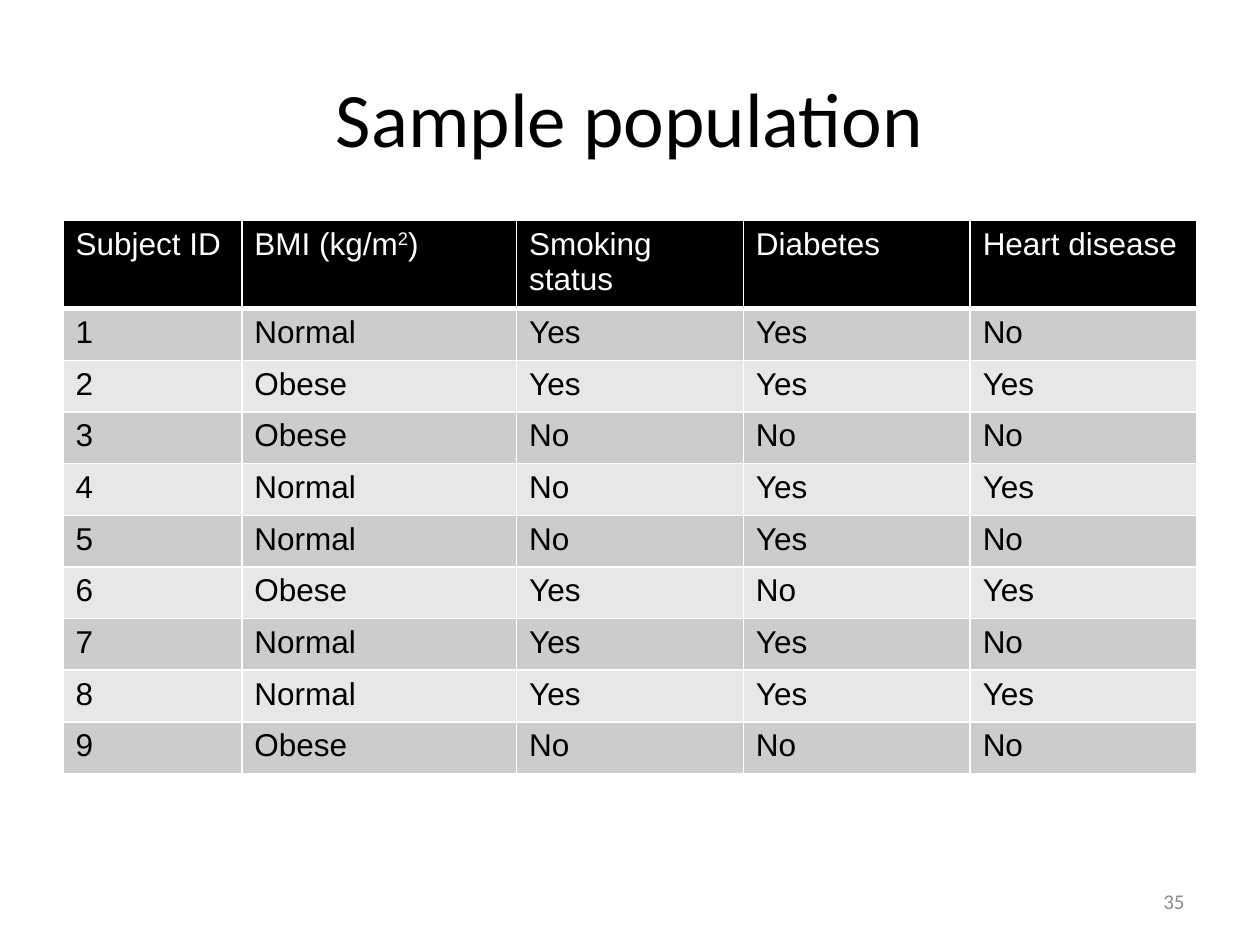
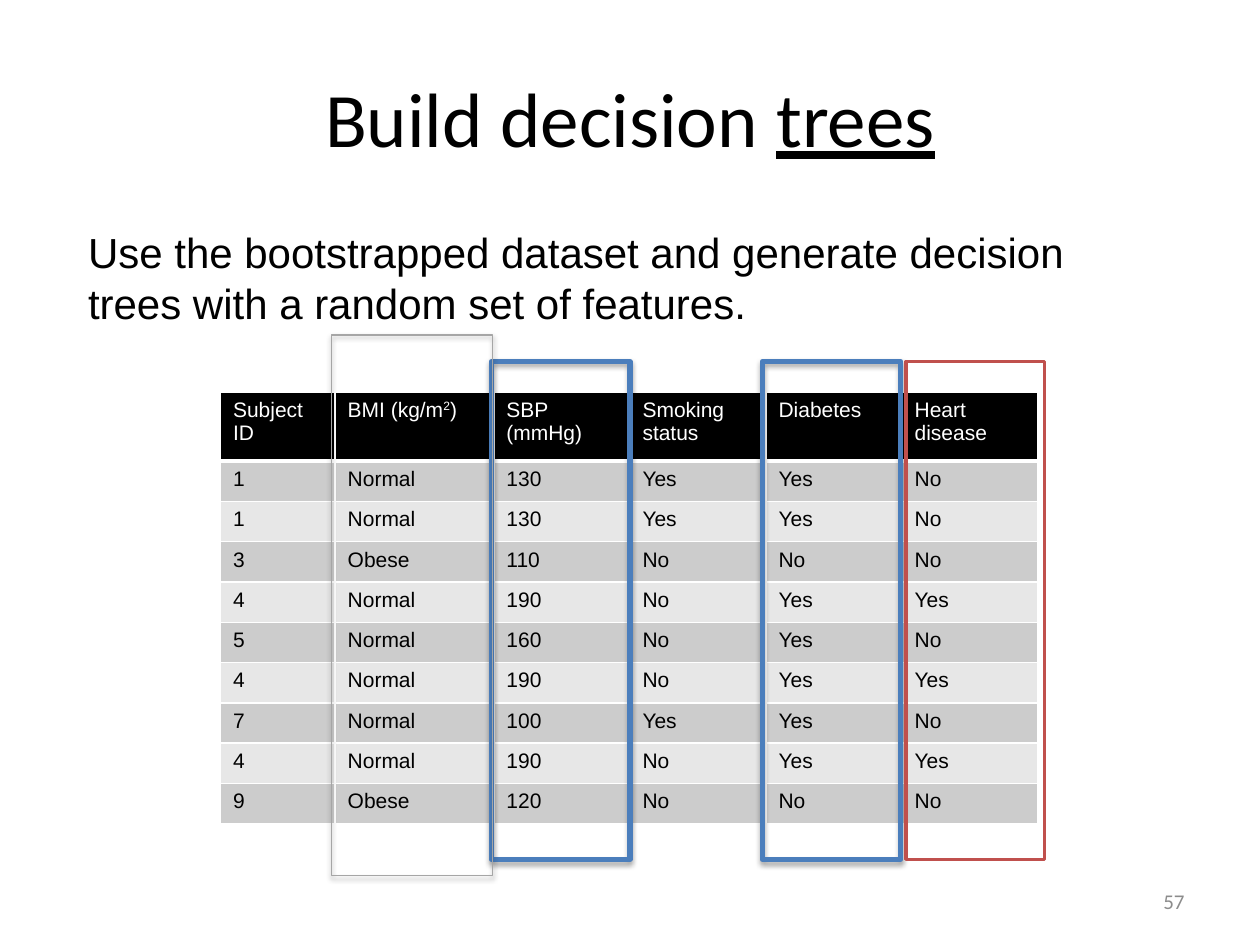
"""Two slides on a sample population and the decision trees built from it."""
from itertools import accumulate

from lxml import etree
from pptx import Presentation
from pptx.dml.color import RGBColor
from pptx.enum.shapes import MSO_SHAPE
from pptx.enum.text import MSO_ANCHOR, PP_ALIGN
from pptx.oxml.ns import qn
from pptx.util import Inches, Pt

RECTANGLE = MSO_SHAPE.RECTANGLE
TOP, MIDDLE = MSO_ANCHOR.TOP, MSO_ANCHOR.MIDDLE
LEFT, CENTER, RIGHT = PP_ALIGN.LEFT, PP_ALIGN.CENTER, PP_ALIGN.RIGHT

COLORS = {
    "ink": "000000", "paper": "FFFFFF", "odd": "CCCCCC", "even": "E7E7E7",
    "number": "8C8C8C", "feature": "4B7EBC", "outcome": "C0504D", "skipped": "A6A6A6",
}
HEADING_FONT, BODY_FONT = "Calibri", "Arial"
SLIDE_W, SLIDE_H, MARGIN = 10, 7.5, 0.5
TITLE_TOP, TITLE_H = 0.3, 1.25
NUMBER_W, NUMBER_H, NUMBER_TOP = 2.33, 0.4, 6.95

SUPERSCRIPT, UNDERLINE = {"baseline": "30000"}, {"u": "sng"}
BMI = [("BMI (kg/m", {}), ("2", SUPERSCRIPT), (")", {})]

POPULATION = {
    "title": [("Sample population", {})],
    "number": "35",
    "left": 0.5, "top": 1.75, "size": 18,
    "columns": [1.42, 2.18, 1.8, 1.8, 1.8],
    "header_height": 0.41, "row_height": 0.41,
    "header": ["Subject ID", BMI, "Smoking status", "Diabetes", "Heart disease"],
    "subjects": [
        ("1", "Normal", "Yes", "Yes", "No"),
        ("2", "Obese", "Yes", "Yes", "Yes"),
        ("3", "Obese", "No", "No", "No"),
        ("4", "Normal", "No", "Yes", "Yes"),
        ("5", "Normal", "No", "Yes", "No"),
        ("6", "Obese", "Yes", "No", "Yes"),
        ("7", "Normal", "Yes", "Yes", "No"),
        ("8", "Normal", "Yes", "Yes", "Yes"),
        ("9", "Obese", "No", "No", "No"),
    ],
}
BOOTSTRAP = {
    "title": [("Build decision ", {}), ("trees", UNDERLINE)],
    "number": "57",
    "left": 1.75, "top": 3.11, "size": 12,
    "columns": [0.91, 1.26, 1.08, 1.08, 1.08, 1.08],
    "header_height": 0.55, "row_height": 0.32,
    "header": ["Subject ID", BMI, "SBP (mmHg)", "Smoking status", "Diabetes",
               "Heart disease"],
    "subjects": [
        ("1", "Normal", "130", "Yes", "Yes", "No"),
        ("1", "Normal", "130", "Yes", "Yes", "No"),
        ("3", "Obese", "110", "No", "No", "No"),
        ("4", "Normal", "190", "No", "Yes", "Yes"),
        ("5", "Normal", "160", "No", "Yes", "No"),
        ("4", "Normal", "190", "No", "Yes", "Yes"),
        ("7", "Normal", "100", "Yes", "Yes", "No"),
        ("4", "Normal", "190", "No", "Yes", "Yes"),
        ("9", "Obese", "120", "No", "No", "No"),
    ],
}
INSTRUCTION = ("Use the bootstrapped dataset and generate decision trees "
               "with a random set of features.")
FRAMES = [
    {"column": 2, "nudge": -0.02, "top": 2.87, "height": 3.95,
     "color": "feature", "weight": 3, "shadow": (35, 1.8)},
    {"column": 4, "nudge": -0.03, "top": 2.87, "height": 3.95,
     "color": "feature", "weight": 3, "shadow": (35, 1.8)},
    {"column": 5, "nudge": 0.03, "top": 2.87, "height": 3.95,
     "color": "outcome", "weight": 2, "shadow": None},
    {"column": 1, "nudge": -0.03, "top": 2.66, "height": 4.29,
     "color": "skipped", "weight": 0.75, "shadow": (38, 1.6)},
]


def rgb(name):
    return RGBColor.from_string(COLORS[name])


def write(paragraph, runs, size, color="ink", font=BODY_FONT):
    for text, marks in runs:
        run = paragraph.add_run()
        run.text = text
        run.font.size, run.font.name, run.font.bold = Pt(size), font, False
        run.font.color.rgb = rgb(color)
        for mark, value in marks.items():
            run._r.get_or_add_rPr().set(mark, value)


def add_text(slide, box, runs, size, align=LEFT, anchor=MIDDLE, **style):
    frame = slide.shapes.add_textbox(*map(Inches, box)).text_frame
    frame.word_wrap, frame.vertical_anchor = True, anchor
    frame.paragraphs[0].alignment = align
    write(frame.paragraphs[0], runs, size, **style)


def add_borders(cell, bottom):
    properties = cell._tc.get_or_add_tcPr()
    for place, (side, weight) in enumerate(
            [("lnL", 1), ("lnR", 1), ("lnT", 1), ("lnB", bottom)]):
        line = etree.Element(qn(f"a:{side}"), w=str(Pt(weight)))
        fill = etree.SubElement(line, qn("a:solidFill"))
        etree.SubElement(fill, qn("a:srgbClr"), val=COLORS["paper"])
        properties.insert(place, line)


def add_subjects(slide, data):
    rows = [data["header"], *data["subjects"]]
    heights = [data["header_height"]] + [data["row_height"]] * len(data["subjects"])
    box = data["left"], data["top"], sum(data["columns"]), sum(heights)
    table = slide.shapes.add_table(
        len(rows), len(data["columns"]), *map(Inches, box)).table
    for column, width in zip(table.columns, data["columns"]):
        column.width = Inches(width)
    for index, (row, height, values) in enumerate(zip(table.rows, heights, rows)):
        row.height = Inches(height)
        band = "ink" if index == 0 else "odd" if index % 2 else "even"
        for cell, value in zip(row.cells, values):
            cell.fill.solid()
            cell.fill.fore_color.rgb = rgb(band)
            add_borders(cell, 1 if index else 3)
            runs = [(value, {})] if isinstance(value, str) else value
            write(cell.text_frame.paragraphs[0], runs, data["size"],
                  "ink" if index else "paper")


def add_frame(slide, data, frame):
    lefts = list(accumulate(data["columns"], initial=data["left"]))
    column = frame["column"]
    box = (lefts[column] + frame["nudge"], frame["top"],
           data["columns"][column] + 0.02, frame["height"])
    outline = slide.shapes.add_shape(RECTANGLE, *map(Inches, box))
    outline.fill.background()
    outline.line.color.rgb = rgb(frame["color"])
    outline.line.width = Pt(frame["weight"])
    outline.shadow.inherit = False
    if frame["shadow"]:
        opacity, distance = frame["shadow"]
        effects = outline._element.spPr.find(qn("a:effectLst"))
        shadow = etree.SubElement(
            effects, qn("a:outerShdw"), blurRad=str(Pt(3.1)),
            dist=str(Pt(distance)), dir="5400000", rotWithShape="0")
        tint = etree.SubElement(shadow, qn("a:srgbClr"), val=COLORS["ink"])
        etree.SubElement(tint, qn("a:alpha"), val=str(opacity * 1000))


def add_subject_slide(deck, data):
    slide = deck.slides.add_slide(deck.slide_layouts[6])
    add_text(slide, (MARGIN, TITLE_TOP, SLIDE_W - 2 * MARGIN, TITLE_H),
             data["title"], 44, CENTER, font=HEADING_FONT)
    add_text(slide, (SLIDE_W - MARGIN - NUMBER_W, NUMBER_TOP, NUMBER_W, NUMBER_H),
             [(data["number"], {})], 12, RIGHT, color="number", font=HEADING_FONT)
    add_subjects(slide, data)
    return slide


def main():
    deck = Presentation()
    deck.slide_width, deck.slide_height = Inches(SLIDE_W), Inches(SLIDE_H)
    add_subject_slide(deck, POPULATION)
    trees = add_subject_slide(deck, BOOTSTRAP)
    add_text(trees, (0.6, 1.75, 8.71, 0.91), [(INSTRUCTION, {})], 24, anchor=TOP)
    for frame in FRAMES:
        add_frame(trees, BOOTSTRAP, frame)
    deck.save("out.pptx")


if __name__ == "__main__":
    main()
